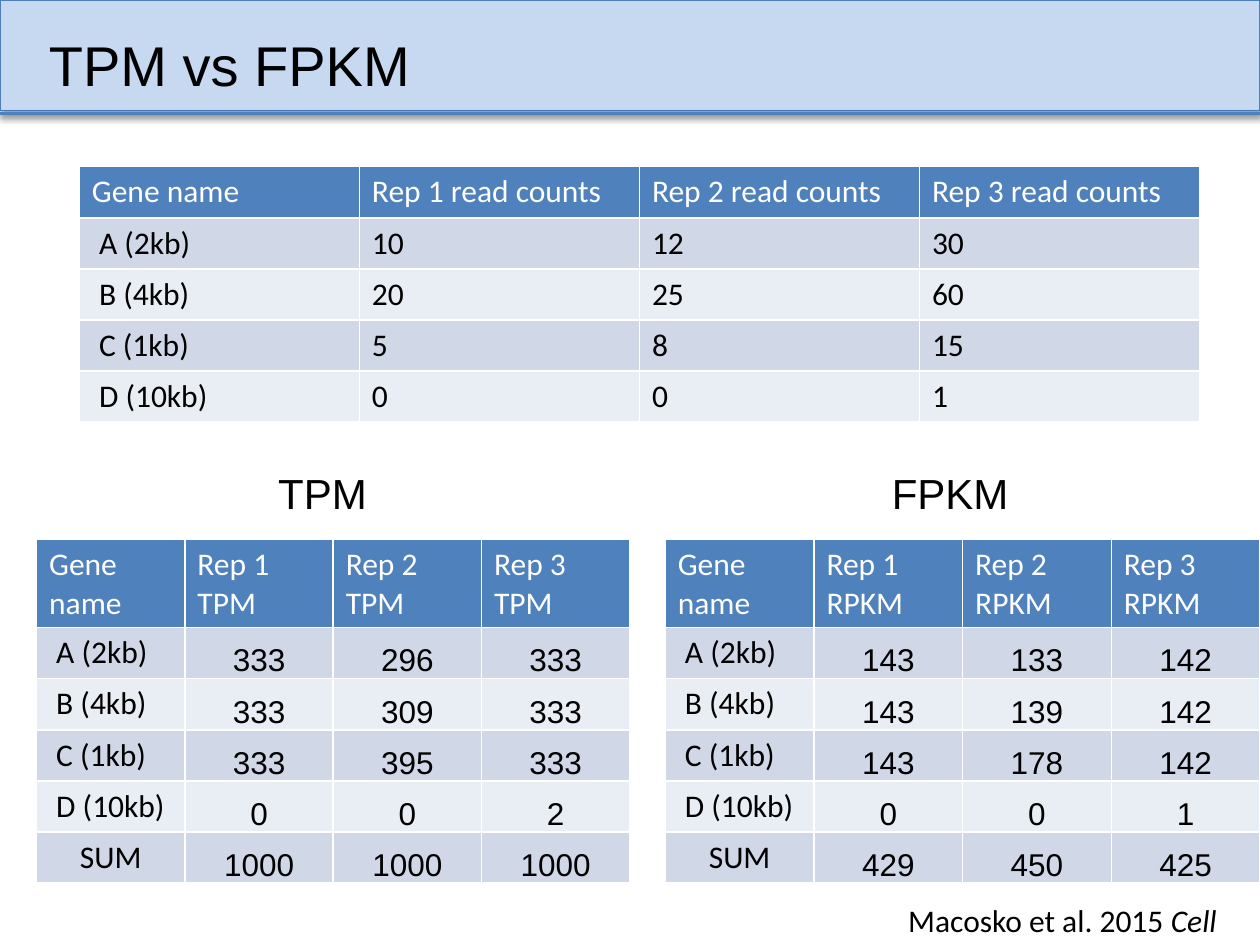
from lxml import etree
from pptx import Presentation
from pptx.dml.color import RGBColor
from pptx.enum.shapes import MSO_CONNECTOR, MSO_SHAPE
from pptx.enum.text import MSO_ANCHOR, MSO_AUTO_SIZE, PP_ALIGN
from pptx.oxml.ns import qn
from pptx.util import Inches, Pt

RECT = MSO_SHAPE.RECTANGLE
LINE = MSO_CONNECTOR.STRAIGHT
LOW = MSO_ANCHOR.BOTTOM
MID = PP_ALIGN.CENTER
GROW = MSO_AUTO_SIZE.SHAPE_TO_FIT_TEXT

PALE, BLUE, EDGE = "C6D9F1", "4F81BD", "4B7EBC"
BANDS = ["D0D8E8", "E9EDF4"]
BODY = {"name": "Calibri", "size": Pt(18), "bold": False, "color": "000000"}
HEAD = {**BODY, "color": "FFFFFF"}
VALUE = {**BODY, "name": "Arial"}
LABEL = {**VALUE, "size": Pt(24)}
TITLE = {**VALUE, "size": Pt(32)}
TIGHT = {
    "vertical_anchor": LOW,
    "margin_left": Inches(0.01),
    "margin_top": Inches(0.01),
    "margin_right": Inches(0.01),
    "margin_bottom": 0,
}
GENES = [" A (2kb)", " B (4kb)", " C (1kb)", " D (10kb)"]
COUNTS = [[10, 12, 30], [20, 25, 60], [5, 8, 15], [0, 0, 1]]
TPM = [[333, 296, 333], [333, 309, 333], [333, 395, 333], [0, 0, 2],
       [1000, 1000, 1000]]
RPKM = [[143, 133, 142], [143, 139, 142], [143, 178, 142], [0, 0, 1],
        [429, 450, 425]]


def paint(code):
    return RGBColor.from_string(code)


def box(*sides):
    return [Inches(side) for side in sides]


class Deck:
    def __init__(self, wide, high):
        self.show = Presentation()
        self.show.slide_width = Inches(wide)
        self.show.slide_height = Inches(high)
        self.slide = self.show.slides.add_slide(self.show.slide_layouts[6])
        self.shapes = self.slide.shapes

    def style(self, font, form):
        for key, value in form.items():
            if key == "color":
                font.color.rgb = paint(value)
            else:
                setattr(font, key, value)

    def shade(self, shape, blur, dist, alpha):
        props = shape._element.spPr
        for old in props.findall(qn("a:effectLst")):
            props.remove(old)
        group = etree.SubElement(props, qn("a:effectLst"))
        drop = etree.SubElement(
            group, qn("a:outerShdw"), blurRad=str(Pt(blur)),
            dist=str(Pt(dist)), dir="5400000", rotWithShape="0")
        color = etree.SubElement(drop, qn("a:srgbClr"), val="000000")
        etree.SubElement(color, qn("a:alpha"), val=str(alpha * 1000))

    def band(self, sides, fill, edge):
        shape = self.shapes.add_shape(RECT, *box(*sides))
        shape.fill.solid()
        shape.fill.fore_color.rgb = paint(fill)
        shape.line.color.rgb = paint(edge)
        shape.line.width = Pt(0.75)
        self.shade(shape, 3.1, 1.8, 35)

    def rule(self, ends, color):
        line = self.shapes.add_connector(LINE, *box(*ends))
        line.line.color.rgb = paint(color)
        line.line.width = Pt(2)
        self.shade(line, 3.1, 1.6, 38)

    def text(self, sides, runs, wrap=True):
        frame = self.shapes.add_textbox(*box(*sides)).text_frame
        frame.word_wrap = wrap
        frame.auto_size = GROW
        for words, form in runs:
            run = frame.paragraphs[0].add_run()
            run.text = words
            self.style(run.font, form)

    def cell(self, cell, words, fill, form, tight=False, align=None):
        cell.fill.solid()
        cell.fill.fore_color.rgb = paint(fill)
        if tight:
            for key, value in TIGHT.items():
                setattr(cell, key, value)
        para = cell.text_frame.paragraphs[0]
        para.alignment = align
        run = para.add_run()
        run.text = str(words)
        self.style(run.font, form)

    def table(self, sides, unit, names, data, top, tight=False):
        heads = ["Gene name"] + [f"Rep {n} {unit}" for n in (1, 2, 3)]
        grid = self.shapes.add_table(
            len(data) + 1, len(heads), *box(*sides)).table
        for num, row in enumerate(grid.rows):
            row.height = Inches((sides[3] - top) / len(data) if num else top)
        for col, words in enumerate(heads):
            self.cell(grid.cell(0, col), words, BLUE, HEAD)
        for num, (name, vals) in enumerate(zip(names, data)):
            fill = BANDS[num % 2]
            align = MID if name == "SUM" else None
            self.cell(grid.cell(num + 1, 0), name, fill, BODY, align=align)
            for col, value in enumerate(vals, 1):
                self.cell(grid.cell(num + 1, col), value, fill,
                          VALUE if tight else BODY, tight,
                          MID if tight else None)


def main():
    deck = Deck(10, 7.5)
    deck.band((0, 0, 10, 0.88), PALE, EDGE)
    deck.rule((0, 0.9, 10, 0.9), BLUE)
    deck.text((0.29, 0.19, 8.99, 0.64), [("TPM vs FPKM", TITLE)])
    deck.table((0.63, 1.32, 8.89, 2.03), "read counts", GENES, COUNTS, 0.41)
    sums = GENES + ["SUM"]
    deck.table((5.28, 4.28, 4.72, 2.73), "RPKM", sums, RPKM, 0.7, True)
    deck.table((0.29, 4.28, 4.71, 2.73), "TPM", sums, TPM, 0.7, True)
    deck.text((6.98, 3.66, 1.14, 0.5), [("FPKM", LABEL)], False)
    deck.text((2.11, 3.66, 0.91, 0.5), [("TPM", LABEL)], False)
    deck.text((7.11, 7.1, 2.89, 0.4), [
        ("Macosko et al. 2015 ", BODY), ("Cell", {**BODY, "italic": True})])
    deck.show.save("out.pptx")


if __name__ == "__main__":
    main()
